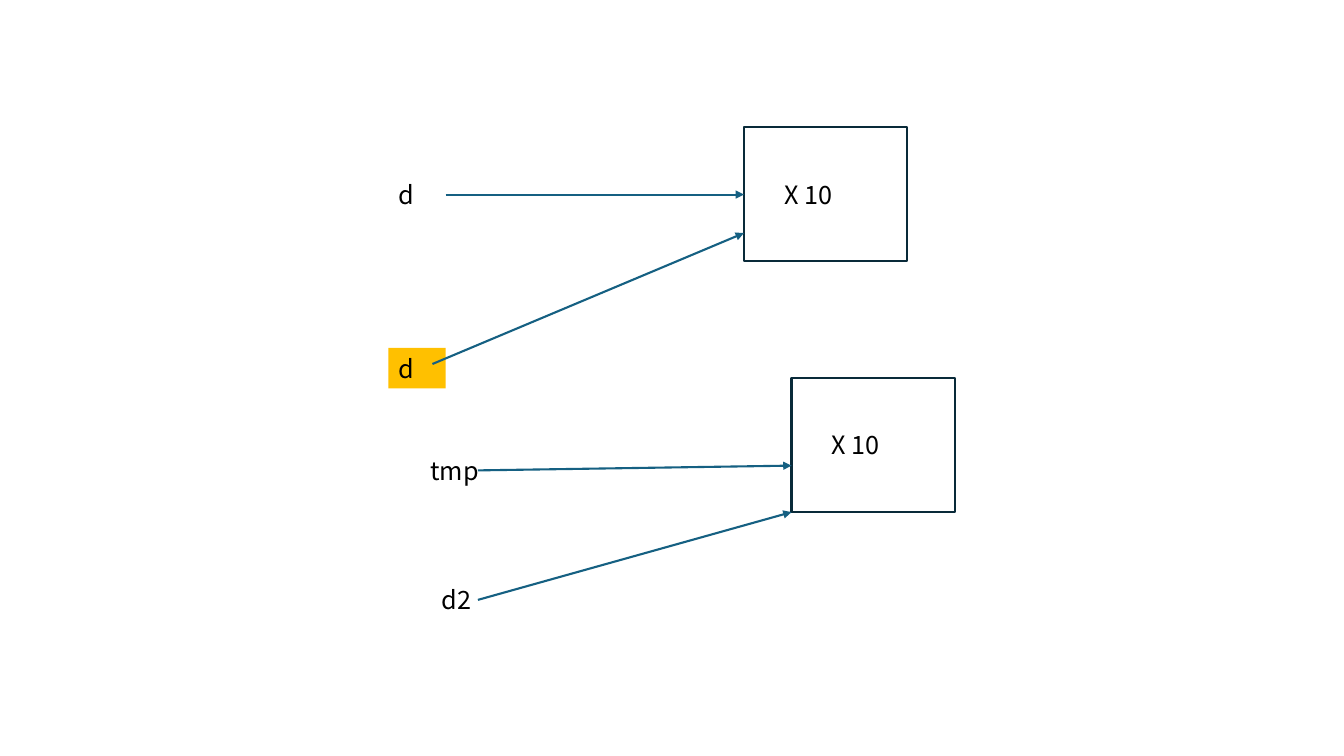
from lxml import etree
from pptx import Presentation
from pptx.dml.color import RGBColor
from pptx.enum import shapes, text
from pptx.oxml.ns import qn
from pptx.util import Pt

COLORS = {"text": "000000", "outline": "092A39", "arrow": "156082", "highlight": "FFC000"}
FONT = "Noto Sans CJK KR"
BOX_WIDTH, BOX_HEIGHT = 116.6, 95.8
LABEL_WIDTH, LABEL_HEIGHT = 82, 29
HIGHLIGHT_WIDTH = 41


def color(name):
    return RGBColor.from_string(COLORS[name])


def add_label(slide, words, left, top, highlighted=False):
    width = HIGHLIGHT_WIDTH if highlighted else LABEL_WIDTH
    label = slide.shapes.add_textbox(Pt(left), Pt(top), Pt(width), Pt(LABEL_HEIGHT))
    if highlighted:
        label.fill.solid()
        label.fill.fore_color.rgb = color("highlight")
    frame = label.text_frame
    frame.word_wrap = True
    frame.auto_size = text.MSO_AUTO_SIZE.SHAPE_TO_FIT_TEXT
    frame.text = words
    font = frame.paragraphs[0].runs[0].font
    font.name, font.size = FONT, Pt(18)
    font.color.rgb = color("text")


def add_arrow(slide, start, end):
    arrow = slide.shapes.add_connector(
        shapes.MSO_CONNECTOR.STRAIGHT, *(Pt(value) for value in (*start, *end)))
    arrow.line.color.rgb = color("arrow")
    arrow.line.width = Pt(1.5)
    etree.SubElement(arrow.line._get_or_add_ln(), qn("a:tailEnd"), type="triangle")
    etree.SubElement(arrow._element.spPr, qn("a:effectLst"))


def add_multiplier(slide, left, top, inputs):
    """Draw an X 10 box at left, top; input offsets are measured from that corner."""
    box = slide.shapes.add_shape(
        shapes.MSO_SHAPE.RECTANGLE, Pt(left), Pt(top), Pt(BOX_WIDTH), Pt(BOX_HEIGHT))
    box.shadow.inherit = False
    box.fill.background()
    box.line.color.rgb = color("outline")
    box.line.width = Pt(1.5)
    add_label(slide, "X 10", left + 21.6, top + (BOX_HEIGHT - LABEL_HEIGHT) / 2)
    for words, highlighted, (label_x, label_y), (start_x, start_y), end_y in inputs:
        add_label(slide, words, left + label_x, top + label_y, highlighted)
        add_arrow(slide, (left + start_x, top + start_y), (left, top + end_y))


def main():
    presentation = Presentation()
    presentation.slide_width, presentation.slide_height = Pt(960), Pt(540)
    slide = presentation.slides.add_slide(presentation.slide_layouts[6])
    # Each input: label, highlighted, label offset, arrow start, arrow end height
    add_multiplier(slide, 531.4, 91, [
        ("d", False, (-254, 33.4), (-213, 48), 48),
        ("d", True, (-254, 157.5), (-222.5, 169), 75.5),
    ])
    add_multiplier(slide, 565.4, 270, [
        ("tmp", False, (-265, 51.5), (-224, 66), 62.6),
        ("d2", False, (-257, 144), (-224, 158.5), BOX_HEIGHT),
    ])
    presentation.save("out.pptx")


if __name__ == "__main__":
    main()
